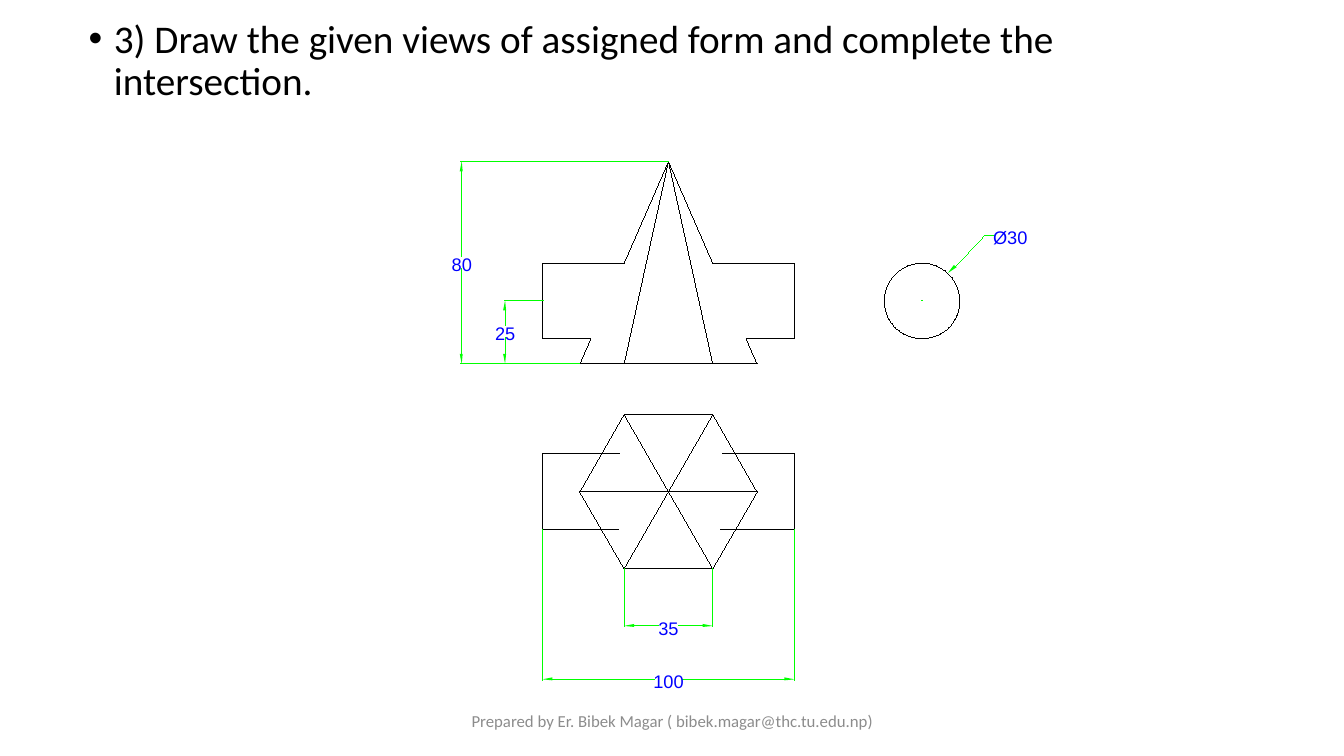
from lxml import etree
from pptx import Presentation
from pptx.dml.color import RGBColor
from pptx.enum.shapes import MSO_CONNECTOR, MSO_SHAPE
from pptx.enum.text import MSO_ANCHOR, MSO_AUTO_SIZE, PP_ALIGN
from pptx.oxml.ns import qn
from pptx.util import Emu, Inches, Pt

PX = 9144
HAIRLINE = Emu(1)
STRAIGHT, OVAL = MSO_CONNECTOR.STRAIGHT, MSO_SHAPE.OVAL
CENTER, LEFT = PP_ALIGN.CENTER, PP_ALIGN.LEFT
TOP, MIDDLE = MSO_ANCHOR.TOP, MSO_ANCHOR.MIDDLE
NO_FIT, GROW = MSO_AUTO_SIZE.NONE, MSO_AUTO_SIZE.SHAPE_TO_FIT_TEXT


def px(*values):
    return [Emu(v * PX) for v in values]


def rgb(code):
    return RGBColor.from_string(code)


class Sheet:
    INK, DIM, LABEL, GREY = "000000", "00FF00", "0000FF", "8C8C8C"
    HEAD = 10

    def __init__(self, prs):
        self.s = prs.slides.add_slide(prs.slide_layouts[1])
        title = self.s.shapes.title
        title.element.getparent().remove(title.element)

    def run(self, p, text, size, font, color):
        r = p.add_run()
        r.text = text
        r.font.size, r.font.name = Pt(size), font
        r.font.color.rgb = rgb(color)

    def body(self, text, box):
        sp = self.s.placeholders[1]
        sp.left, sp.top, sp.width, sp.height = px(*box)
        tf = sp.text_frame
        tf.auto_size, tf.vertical_anchor = NO_FIT, TOP
        p = tf.paragraphs[0]
        p.line_spacing, p.space_before = 0.9, Pt(0)
        pPr = p._p.get_or_add_pPr()
        pPr.set("marL", str(Inches(0.25)))
        pPr.set("indent", str(-Inches(0.25)))
        etree.SubElement(pPr, qn("a:buFont")).set("typeface", "Arial")
        etree.SubElement(pPr, qn("a:buChar")).set("char", "•")
        self.run(p, text, 28, "Calibri", self.INK)

    def footer(self, text, box):
        tf = self.s.shapes.add_textbox(*px(*box)).text_frame
        tf.word_wrap, tf.vertical_anchor = True, MIDDLE
        p = tf.paragraphs[0]
        p.alignment = CENTER
        self.run(p, text, 12, "Calibri", self.GREY)

    def label(self, text, x, y, width):
        tf = self.s.shapes.add_textbox(*px(x, y, width, 24)).text_frame
        tf.margin_left = tf.margin_right = tf.margin_top = tf.margin_bottom = 0
        tf.word_wrap, tf.auto_size = False, GROW
        p = tf.paragraphs[0]
        p.alignment = LEFT
        self.run(p, text, 13, "Arial", self.LABEL)

    def outline(self, sp, color):
        sp.line.color.rgb = rgb(color)
        sp.line.width = HAIRLINE

    def line(self, a, b, color):
        sp = self.s.shapes.add_connector(STRAIGHT, *px(*a, *b))
        self.outline(sp, color)
        etree.SubElement(sp._element.spPr, qn("a:effectLst"))

    def chain(self, *points):
        for a, b in zip(points, points[1:]):
            self.line(a, b, self.INK)

    def circle(self, x, y, d):
        sp = self.s.shapes.add_shape(OVAL, *px(x, y, d, d))
        sp.shadow.inherit = False
        sp.fill.background()
        self.outline(sp, self.INK)

    def freeform(self, points, closed):
        fb = self.s.shapes.build_freeform(*points[0], scale=PX)
        fb.add_line_segments(points[1:], close=closed)
        sp = fb.convert_to_shape()
        sp.shadow.inherit = False
        return sp

    def leader(self, *points):
        sp = self.freeform(points, False)
        sp.fill.background()
        self.outline(sp, self.DIM)

    def arrowhead(self, *points):
        sp = self.freeform(points, True)
        sp.fill.solid()
        sp.fill.fore_color.rgb = rgb(self.DIM)
        sp.line.fill.background()

    def dimension(self, text, start, end, at, feet, gap, vertical=False):
        def pt(along, across):
            return (across, along) if vertical else (along, across)

        mid = (start + end) // 2
        beyond = at - 1 if vertical else at + 1
        for tip, foot, side in zip((start, end), feet, (1, -1)):
            base = tip + side * self.HEAD
            self.line(pt(tip, foot), pt(tip, beyond), self.DIM)
            self.line(pt(base, at), pt(mid - side * gap, at), self.DIM)
            self.arrowhead(pt(base, at - 2), pt(base, at + 1), pt(tip, at))
        x, y = pt(mid, at)
        self.label(text, x - 5 * len(text), y - 9, 10 * len(text) + 8)


def main():
    prs = Presentation()
    prs.slide_width, prs.slide_height = Inches(13.33), Inches(7.5)
    sheet = Sheet(prs)
    sheet.body("3) Draw the given views of assigned form and complete the "
               "intersection.", (78, 14, 1150, 144))
    sheet.footer("Prepared by Er. Bibek Magar ( bibek.magar@thc.tu.edu.np)",
                 (442, 695, 450, 40))

    axis, apex, base = 663, 160, 361
    left, right = 538, 788
    near, far = 619, 707
    west, east = 575, 751

    half_front = [(axis, apex), (near, 261), (left, 261),
                  (left, 336), (586, 336), (west, base)]
    sheet.chain(*half_front)
    sheet.chain(*[(2 * axis - x, y) for x, y in half_front])
    sheet.chain((west, base), (east, base))
    sheet.chain((near, base), (axis, apex), (far, base))

    back, centre, front = 411, 488, 564
    hexagon = [(west, centre), (near, back), (far, back),
               (east, centre), (far, front), (near, front)]
    sheet.chain(*hexagon, hexagon[0])
    for a, b in zip(hexagon[:3], hexagon[3:]):
        sheet.chain(a, b)
    sheet.chain((614, 450), (left, 450), (left, 525), (613, 525))
    sheet.chain((717, 450), (right, 450), (right, 525), (715, 525))

    sheet.circle(877, 261, 75)
    sheet.line((914, 298), (915, 298), sheet.DIM)
    sheet.leader((986, 234), (976, 234), (948, 264))
    sheet.arrowhead((946, 263), (949, 265), (940, 271))
    sheet.label("Ø30", 985, 225, 42)

    sheet.dimension("35", near, far, 621, (front, front), 10)
    sheet.dimension("100", left, right, 674, (525, 525), 14)
    sheet.dimension("25", 298, base, 501, (539, west), 6, vertical=True)
    sheet.dimension("80", apex, base, 458, (axis, west), 6, vertical=True)
    prs.save("out.pptx")


if __name__ == "__main__":
    main()
